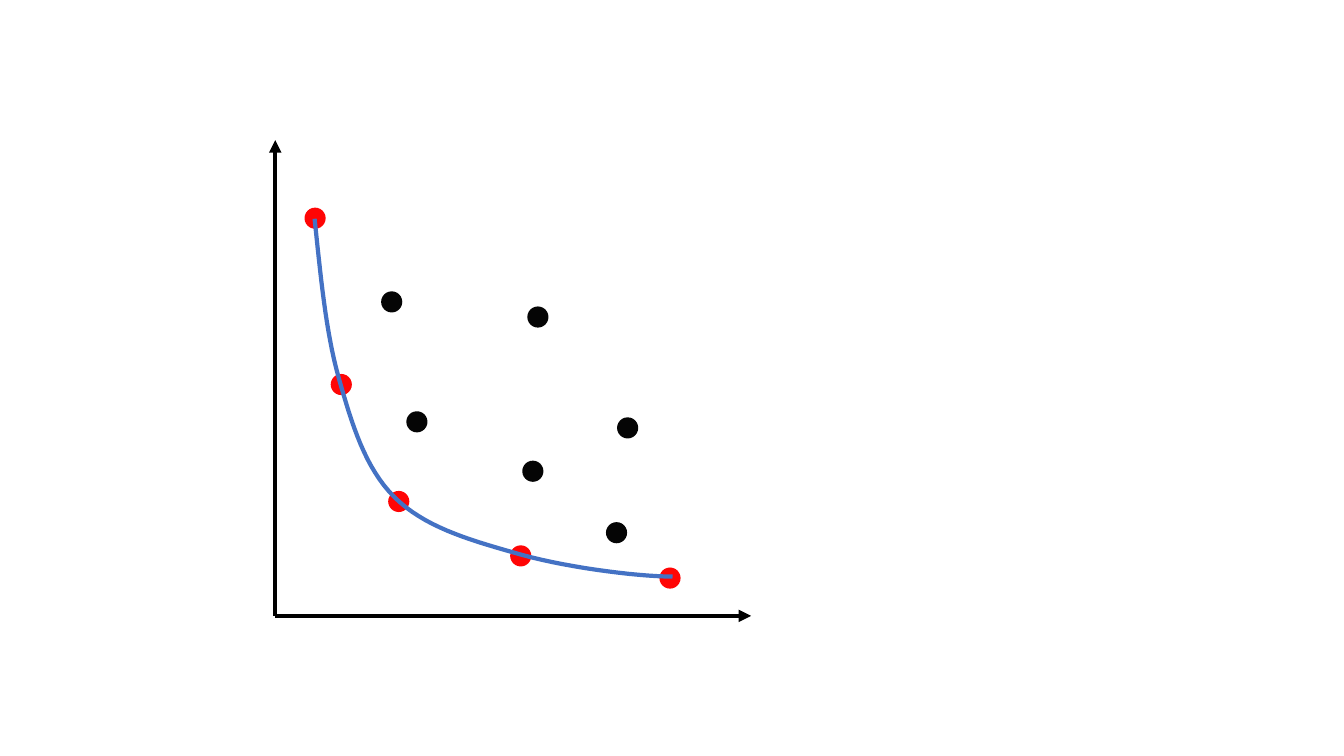
from lxml.etree import SubElement
from pptx import Presentation
from pptx.dml.color import RGBColor
from pptx.enum.shapes import MSO_CONNECTOR, MSO_SHAPE
from pptx.oxml.ns import qn
from pptx.util import Inches, Pt

COLORS = {"axis": "000000", "front": "FF0000", "other": "000000", "curve": "4472C4"}
SIZE = 0.21
STEPS = 16
ORIGIN = (2.73, 6.11)
ENDS = [(7.45, 6.11), (2.73, 1.39)]
FRONT = [(3.85, 4.87), (3.28, 3.71), (5.06, 5.41), (6.54, 5.63), (3.02, 2.06)]
OTHER = [(3.78, 2.89), (5.23, 3.04), (4.03, 4.08),
         (5.18, 4.57), (6.12, 4.14), (6.01, 5.18)]
CURVE = [(3.12, 2.17),
         (3.18, 2.73), (3.23, 3.29), (3.36, 3.75),
         (3.49, 4.21), (3.62, 4.64), (3.91, 4.93),
         (4.2, 5.22), (4.63, 5.35), (5.09, 5.48),
         (5.55, 5.62), (6.3, 5.72), (6.67, 5.72)]


def color(name):
    return RGBColor.from_string(COLORS[name])


def stroke(shape, name):
    shape.line.color.rgb = color(name)
    shape.line.width = Pt(3)


def add_axis(shapes, start, end):
    axis = shapes.add_connector(
        MSO_CONNECTOR.STRAIGHT, *(Inches(value) for value in start + end))
    stroke(axis, "axis")
    props = axis.element.spPr
    SubElement(props.find(qn("a:ln")), qn("a:tailEnd"), type="triangle")
    SubElement(props, qn("a:effectLst"))


def add_dot(shapes, left, top, name):
    dot = shapes.add_shape(
        MSO_SHAPE.OVAL, Inches(left), Inches(top), Inches(SIZE), Inches(SIZE))
    dot.shadow.inherit = False
    dot.fill.solid()
    dot.fill.fore_color.rgb = color(name)
    dot.line.fill.background()
    tint = dot.element.spPr.find(qn("a:solidFill")).find(qn("a:srgbClr"))
    SubElement(tint, qn("a:alpha"), val="98000")


def bezier(points, t):
    weights = ((1 - t) ** 3, 3 * t * (1 - t) ** 2, 3 * t ** 2 * (1 - t), t ** 3)
    return tuple(
        Inches(sum(w * value for w, value in zip(weights, axis)))
        for axis in zip(*points))


def add_curve(shapes, points):
    track = [bezier(points[first:first + 4], step / STEPS)
             for first in range(0, len(points) - 1, 3)
             for step in range(1, STEPS + 1)]
    start = [Inches(value) for value in points[0]]
    builder = shapes.build_freeform(*start)
    builder.add_line_segments(track, close=False)
    curve = builder.convert_to_shape()
    curve.shadow.inherit = False
    curve.fill.background()
    stroke(curve, "curve")


def main():
    deck = Presentation()
    deck.slide_width = Inches(13.33)
    deck.slide_height = Inches(7.5)
    shapes = deck.slides.add_slide(deck.slide_layouts[6]).shapes
    axes = shapes.add_group_shape()
    for end in ENDS:
        add_axis(axes.shapes, ORIGIN, end)
    for left, top in FRONT:
        add_dot(shapes, left, top, "front")
    add_curve(shapes, CURVE)
    for left, top in OTHER:
        add_dot(shapes, left, top, "other")
    deck.save("out.pptx")


if __name__ == "__main__":
    main()
